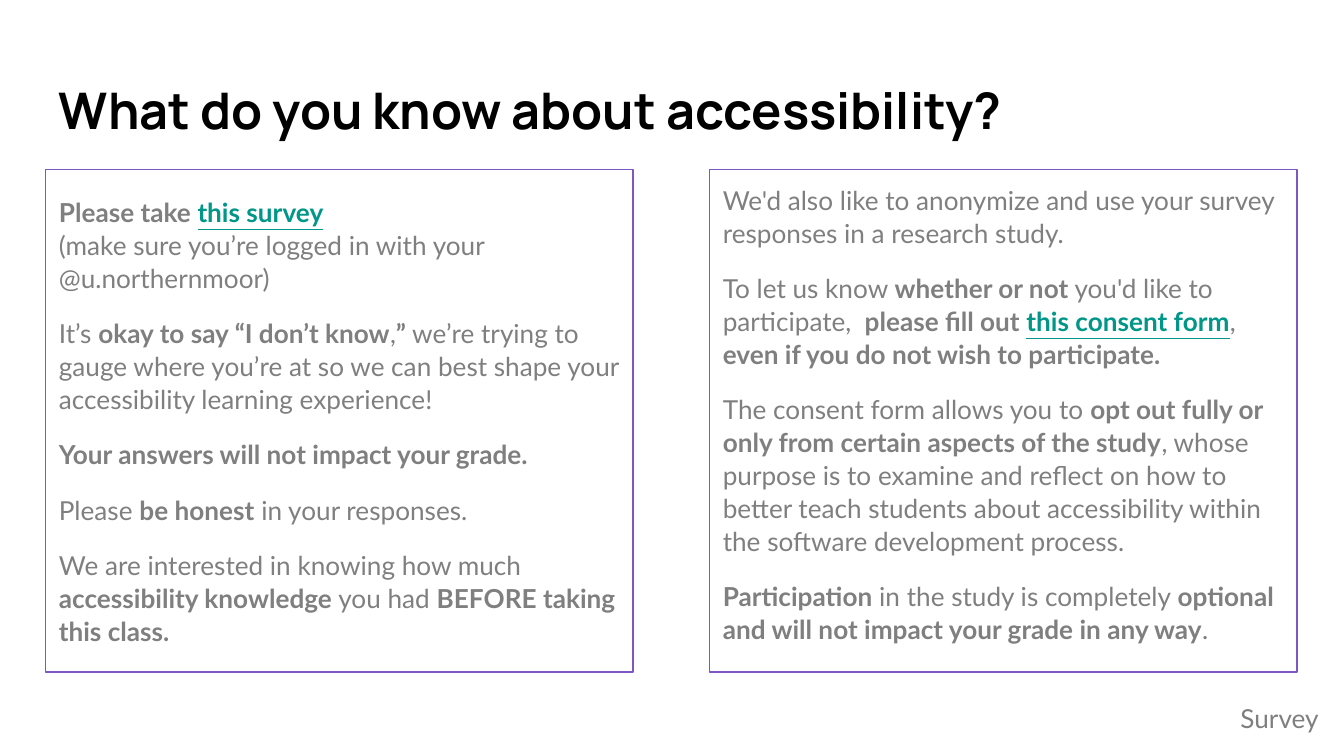
from lxml import etree
from pptx import Presentation
from pptx import util as u
from pptx.dml.color import RGBColor
from pptx.enum import shapes, text
from pptx.oxml.ns import qn

GRAY, TEAL, PURPLE = "7F7F7F", "009688", "7E57C2"
BODY_SIZE = 14


def style(r, font, size, color, bold=False):
    r.font.name = font
    r.font.size = u.Pt(size)
    r.font.color.rgb = RGBColor.from_string(color)
    r.font.bold = bold


def add_marked_text(p, marked):
    """Write runs: *bold*, _link_ inside bold, and | for a line break."""
    for i, part in enumerate(marked.split("*")):
        for j, piece in enumerate(part.split("_")):
            for k, words in enumerate(piece.split("|")):
                if k:
                    p.add_line_break()
                    etree.SubElement(p._p[-1], qn("a:rPr"), sz=str(BODY_SIZE * 100))
                if words:
                    r = p.add_run()
                    r.text = words
                    link = j % 2 == 1
                    style(r, "Lato", BODY_SIZE, TEAL if link else GRAY, i % 2 == 1)
                    if link:
                        r.font.underline = True


survey = [
    "*Please take _this survey_ *|(make sure you’re logged in with your @u.northernmoor)",
    "It’s *okay to say “I don’t know*,*”* we’re trying to gauge where you’re at "
    "so we can best shape your accessibility learning experience!",
    "*Your answers will not impact your grade.*",
    "Please *be honest* in your responses.",
    "We are interested in knowing how much *accessibility knowledge* you had "
    "*BEFORE taking this class.*",
]
consent = [
    "We'd also like to anonymize and use your survey responses in a research study.",
    "To let us know *whether or not* you'd like to participate, * please fill out "
    "_this consent form_*, *even if you do not wish to participate.*",
    "The consent form allows you to *opt out fully or only from certain aspects of "
    "the study*, whose purpose is to examine and reflect on how to better teach "
    "students about accessibility within the software development process.",
    "*Participation* in the study is completely *optional and will not impact your "
    "grade in any way*.",
]

prs = Presentation()
prs.slide_width = u.Inches(10)
prs.slide_height = u.Inches(10 * 9 / 16)
s = prs.slides.add_slide(prs.slide_layouts[6])

# Title and section label
for words, box, font, size, color, bold, align, spacing in [
    ("What do you know about accessibility?", (0.34, 0.49, 9.32, 0.68),
     "Manrope", 27, "000000", True, text.PP_ALIGN.LEFT, 1.0),
    ("Survey", (8.64, 5.09, 1.27, 0.44),
     "Lato", BODY_SIZE, GRAY, False, text.PP_ALIGN.RIGHT, 1.15),
]:
    tf = s.shapes.add_textbox(*map(u.Inches, box)).text_frame
    tf.word_wrap = True
    tf.margin_left = tf.margin_right = tf.margin_top = tf.margin_bottom = u.Inches(0.1)
    p = tf.paragraphs[0]
    p.text = words
    p.alignment = align
    p.line_spacing = spacing
    style(p.runs[0], font, size, color, bold)

# Two outlined columns
for left, anchor, paragraphs in [
    (0.34, text.MSO_ANCHOR.MIDDLE, survey),
    (5.28, text.MSO_ANCHOR.TOP, consent),
]:
    sp = s.shapes.add_shape(shapes.MSO_SHAPE.RECTANGLE, u.Inches(left), u.Inches(1.26),
                            u.Inches(4.37), u.Inches(3.74))
    sp.shadow.inherit = False
    sp.fill.background()
    sp.line.color.rgb = RGBColor.from_string(PURPLE)
    sp.line.width = u.Pt(0.75)
    tf = sp.text_frame
    tf.word_wrap = True
    tf.vertical_anchor = anchor
    tf.margin_left = tf.margin_right = tf.margin_top = tf.margin_bottom = u.Inches(0.1)
    for i, marked in enumerate(paragraphs):
        p = tf.add_paragraph() if i else tf.paragraphs[0]
        p.alignment = text.PP_ALIGN.LEFT
        p.line_spacing = 1.05
        p.space_before = u.Pt(12 if i else 0)
        add_marked_text(p, marked)
    p.space_after = u.Pt(12)

prs.save("out.pptx")
